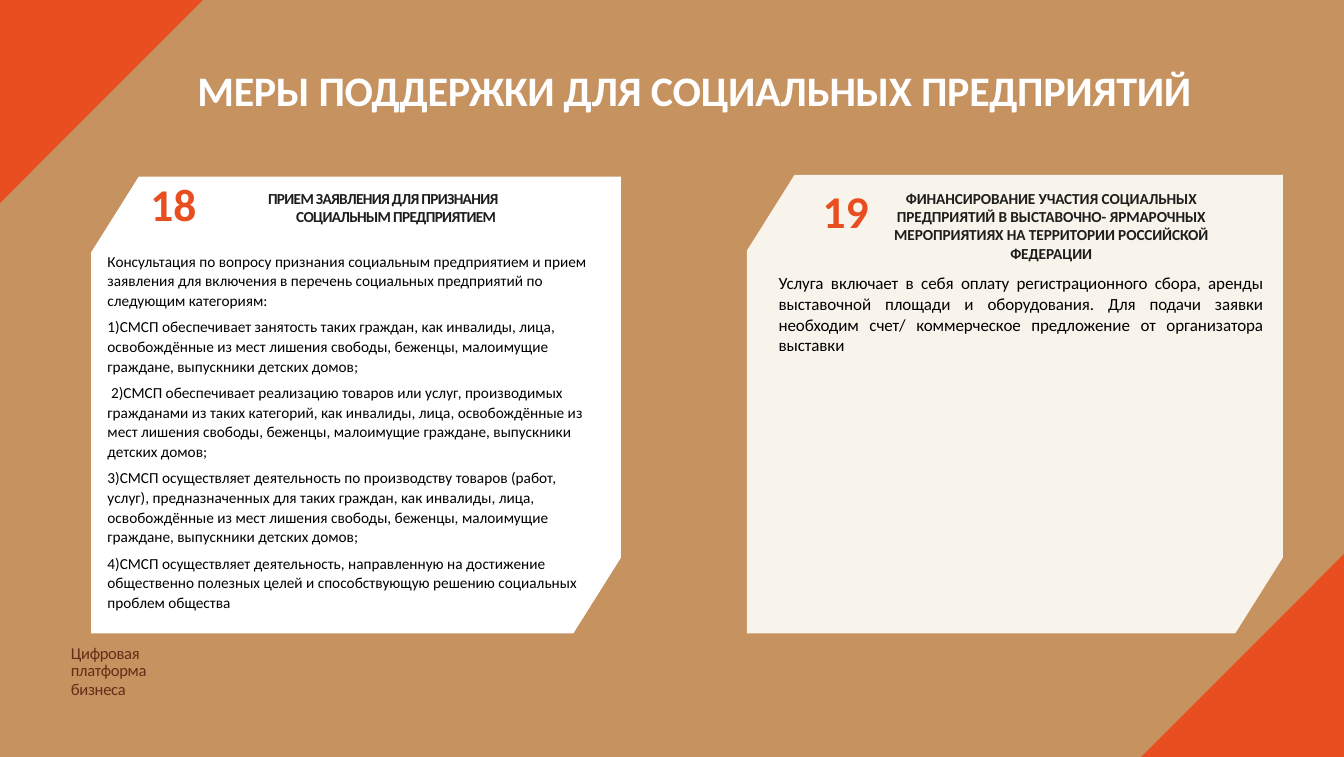
from pptx import Presentation
from pptx.dml.color import RGBColor
from pptx.enum.text import MSO_ANCHOR, MSO_AUTO_SIZE, PP_ALIGN
from pptx.util import Inches, Pt

TOP, NO_FIT = MSO_ANCHOR.TOP, MSO_AUTO_SIZE.NONE
LEFT, CENTER, JUSTIFY = PP_ALIGN.LEFT, PP_ALIGN.CENTER, PP_ALIGN.JUSTIFY
SAND = RGBColor(0xC5, 0x92, 0x60)
ORANGE = RGBColor(0xE8, 0x4E, 0x20)
WHITE = RGBColor(0xFF, 0xFF, 0xFF)
CREAM = RGBColor(0xF8, 0xF4, 0xEB)
BLACK = RGBColor(0, 0, 0)
INK = RGBColor(0x1D, 0x1D, 0x1B)
BROWN = RGBColor(0x67, 0x2C, 0x17)
FONT = "Calibri"
WIDTH, HEIGHT = 21.99, 12.38
CORNER = 3.32
CUT_X, CUT_Y = 0.78, 1.24

TITLE = "МЕРЫ ПОДДЕРЖКИ ДЛЯ СОЦИАЛЬНЫХ ПРЕДПРИЯТИЙ"
RECEPTION_HEADING = ["ПРИЕМ ЗАЯВЛЕНИЯ ДЛЯ ПРИЗНАНИЯ", "СОЦИАЛЬНЫМ ПРЕДПРИЯТИЕМ"]
RECEPTION_BODY = [
    "Консультация по вопросу признания социальным предприятием и прием заявления "
    "для включения в перечень социальных предприятий по следующим категориям:",
    "1)СМСП обеспечивает занятость таких граждан, как инвалиды, лица, освобождённые "
    "из мест лишения свободы, беженцы, малоимущие граждане, выпускники детских домов;",
    "2)СМСП обеспечивает реализацию товаров или услуг, производимых гражданами из "
    "таких категорий, как инвалиды, лица, освобождённые из мест лишения свободы, "
    "беженцы, малоимущие граждане, выпускники детских домов;",
    "3)СМСП осуществляет деятельность по производству товаров (работ, услуг), "
    "предназначенных для таких граждан, как инвалиды, лица, освобождённые из мест "
    "лишения свободы, беженцы, малоимущие граждане, выпускники детских домов;",
    "4)СМСП осуществляет деятельность, направленную на достижение общественно "
    "полезных целей и способствующую решению социальных проблем общества",
]
FINANCE_HEADING = [
    "ФИНАНСИРОВАНИЕ УЧАСТИЯ СОЦИАЛЬНЫХ ПРЕДПРИЯТИЙ В ВЫСТАВОЧНО- ЯРМАРОЧНЫХ "
    "МЕРОПРИЯТИЯХ НА ТЕРРИТОРИИ РОССИЙСКОЙ ФЕДЕРАЦИИ"
]
FINANCE_BODY = [
    "Услуга включает в себя оплату регистрационного сбора, аренды выставочной "
    "площади и оборудования. Для подачи заявки необходим счет/ коммерческое "
    "предложение от организатора выставки"
]
FOOTER = ["Цифровая платформа", "бизнеса"]


def fill_text(sp, lines, size, color, bold=False, align=LEFT, track=0,
              line_spacing=1.0, space_after=0, inset=(0, 0)):
    """Write the lines into a shape as formatted paragraphs and return them."""
    tf = sp.text_frame
    tf.word_wrap = True
    tf.auto_size = NO_FIT
    tf.vertical_anchor = TOP
    tf.margin_left = tf.margin_right = Inches(inset[0])
    tf.margin_top = tf.margin_bottom = Inches(inset[1])
    tf.text = "\n".join(lines)
    for p in tf.paragraphs:
        p.alignment = align
        p.line_spacing = line_spacing
        p.space_before = Pt(0)
        p.space_after = Pt(space_after)
        for r in p.runs:
            r.font.name, r.font.size = FONT, Pt(size)
            r.font.bold, r.font.color.rgb = bold, color
            r._r.get_or_add_rPr().set("spc", str(round(track * 100)))
    return tf.paragraphs


def add_text(s, box, lines, size, color, **style):
    """Add a text box in the given box and return its paragraphs."""
    sp = s.shapes.add_textbox(*map(Inches, box))
    return fill_text(sp, lines, size, color, **style)


def add_polygon(s, points, color):
    """Add a filled closed outline through points given in inches."""
    corners = [(Inches(x), Inches(y)) for x, y in points]
    builder = s.shapes.build_freeform(*corners[0], scale=1.0)
    builder.add_line_segments(corners[1:], close=True)
    sp = builder.convert_to_shape()
    sp.shadow.inherit = False
    sp.fill.solid()
    sp.fill.fore_color.rgb = color
    sp.line.fill.background()


def add_backdrop(s):
    """Paint the background and the two corner triangles."""
    s.background.fill.solid()
    s.background.fill.fore_color.rgb = SAND
    add_polygon(s, [(0, 0), (CORNER, 0), (0, CORNER)], ORANGE)
    add_polygon(s, [(WIDTH, HEIGHT - CORNER), (WIDTH, HEIGHT),
                    (WIDTH - CORNER, HEIGHT)], ORANGE)


def add_title(s, box):
    """Place and format the slide title."""
    sp = s.shapes.title
    sp.left, sp.top, sp.width, sp.height = map(Inches, box)
    fill_text(sp, [TITLE], 49.5, WHITE, bold=True, track=-0.3, inset=(0, 0.01))


def add_card(s, box, color, number, number_at):
    """Draw a card with two cut corners and its number."""
    x, y, w, h = box
    right, bottom = x + w, y + h
    add_polygon(s, [(x + CUT_X, y), (right, y), (right, bottom - CUT_Y),
                    (right - CUT_X, bottom), (x, bottom), (x, y + CUT_Y)], color)
    dx, dy = number_at
    add_text(s, (x + dx, y + dy, 0.9, 0.92), [number], 53.5, ORANGE,
             bold=True, track=0.2, inset=(0, 0.01))


def add_reception_card(s, box):
    """Add the card about receiving applications."""
    x, y, w, h = box
    add_card(s, box, WHITE, "18", (0.97, -0.02))
    heading = add_text(s, (x + 1.9, y + 0.15, 5.76, 1.01), RECEPTION_HEADING, 18, INK,
                       bold=True, align=CENTER, track=-0.8, inset=(0.1, 0.05))
    heading[1]._p.get_or_add_pPr().set("marL", str(Inches(0.42)))
    body = add_text(s, (x + 0.17, y + 1.16, 8.16, h - 1.2), RECEPTION_BODY, 18, BLACK,
                    line_spacing=1.07, space_after=8, inset=(0.1, 0.05))
    body[2]._p.get_or_add_pPr().set("indent", str(Inches(0.06)))


def add_finance_card(s, box):
    """Add the card about financing exhibitions."""
    x, y, w, h = box
    add_card(s, box, CREAM, "19", (1.24, 0.12))
    add_text(s, (x + 1.94, y + 0.18, 6.08, 1.4), FINANCE_HEADING, 18, INK,
             bold=True, align=CENTER, track=-0.1, inset=(0.1, 0.05))
    add_text(s, (x + 0.52, y + 1.58, 7.92, 1.39), FINANCE_BODY, 20, BLACK,
             align=JUSTIFY, track=-0.15, line_spacing=1.02, inset=(0, 0.01))


def add_footer(s, box):
    """Add the platform name under the cards."""
    lines = add_text(s, box, FOOTER, 19.5, BROWN, track=-0.4)
    for p, points in zip(lines, (19.2, 23.1)):
        p.line_spacing = Pt(points)


def main():
    """Build the slide and save it."""
    prs = Presentation()
    prs.slide_width, prs.slide_height = Inches(WIDTH), Inches(HEIGHT)
    s = prs.slides.add_slide(prs.slide_layouts[5])
    add_backdrop(s)
    add_title(s, (3.23, 1.05, 16.28, 0.85))
    add_reception_card(s, (1.49, 2.89, 8.67, 7.47))
    add_finance_card(s, (12.22, 2.86, 8.77, 7.5))
    add_footer(s, (1.16, 10.58, 2.41, 0.9))
    prs.save("out.pptx")


if __name__ == "__main__":
    main()
